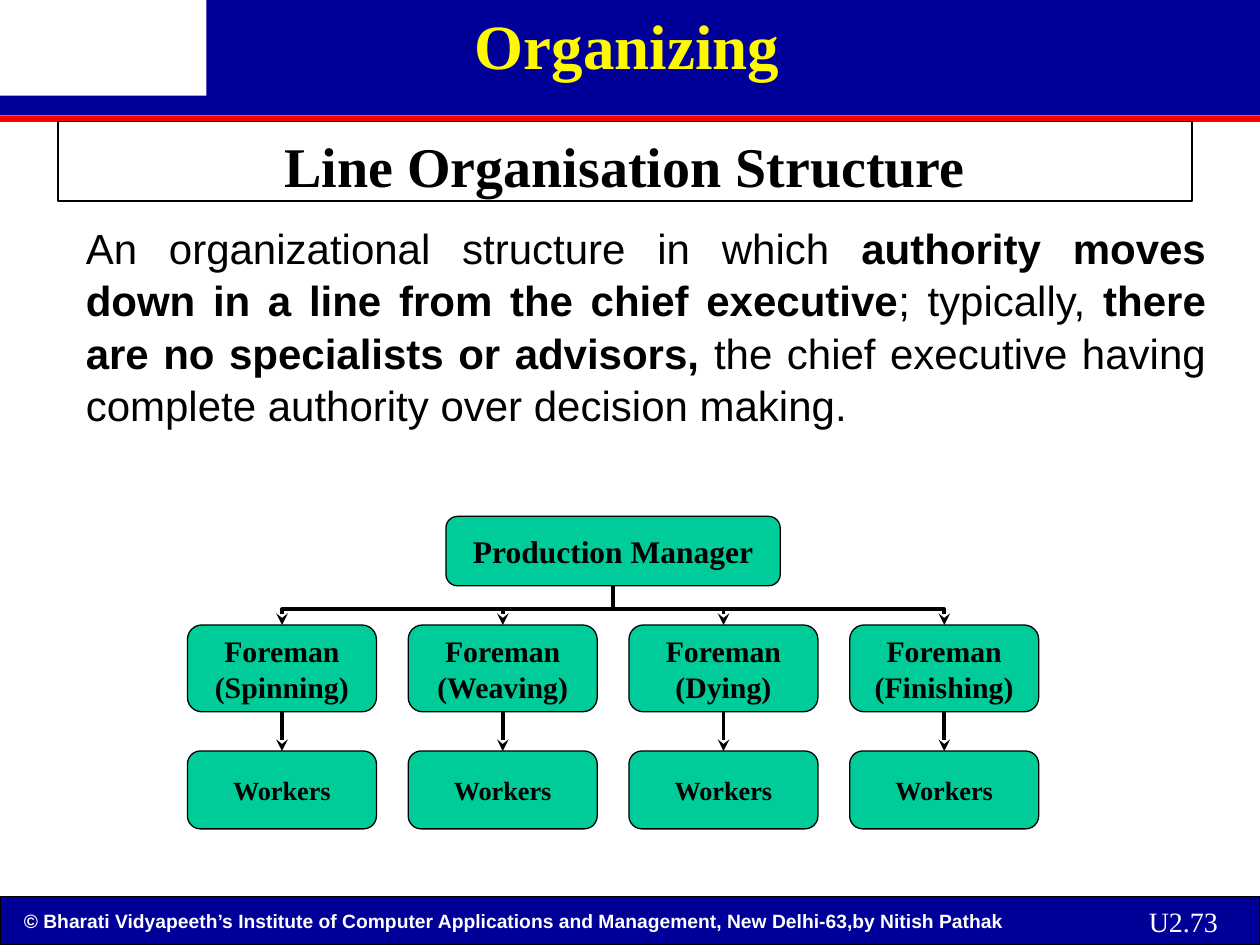
"""Build the slide on the line organisation structure with its organisation chart."""
from lxml import etree
from pptx import Presentation
from pptx import util as u
from pptx.dml.color import RGBColor
from pptx.enum import shapes, text
from pptx.oxml import ns

NAVY = RGBColor(0x00, 0x00, 0x99)
RED = RGBColor(0xFF, 0x00, 0x00)
YELLOW = RGBColor(0xFE, 0xF8, 0x00)
GREEN = RGBColor(0x00, 0xCC, 0x99)
WHITE = RGBColor(0xFF, 0xFF, 0xFF)
BLACK = RGBColor(0x00, 0x00, 0x00)
SERIF, SANS = "Times New Roman", "Arial"

TITLE = "Line Organisation Structure"
DEFINITION = [
    ("An organizational structure in which ", False),
    ("authority moves down in a line from the chief executive", True),
    ("; typically, ", False),
    ("there are no specialists or advisors, ", True),
    ("the chief executive having complete authority over decision making.", False),
]
MANAGER = "Production Manager"
DEPARTMENTS = ["Spinning", "Weaving", "Dying", "Finishing"]
WORKERS = "Workers"
FOOTER = ("© Bharati Vidyapeeth’s Institute of Computer Applications and Management, "
          "New Delhi-63,by Nitish Pathak")
BANDS = [
    ((0, 18.08, 25.4, 0.97), NAVY, BLACK),
    ((0, 2.33, 25.4, 0.13), RED, None),
    ((4.16, 0, 21.24, 1.94), NAVY, None),
    ((0, 1.93, 25.4, 0.4), NAVY, None),
]
LABELS = [
    (FOOTER, (0.23, 18.2, 23.32, 0.74), 11, SANS, WHITE, True, text.PP_ALIGN.LEFT),
    ("U2.73", (22.91, 18.11, 2.39, 0.94), 16, SERIF, WHITE, False, text.PP_ALIGN.LEFT),
    ("Organizing", (6.88, 0, 11.53, 1.78), 36, SERIF, YELLOW, True, text.PP_ALIGN.CENTER),
]
ROW_LEFT, COLUMN_PITCH, BOX_WIDTH = 3.78, 4.45, 3.81
MANAGER_TOP, MANAGER_WIDTH, MANAGER_HEIGHT = 10.41, 6.74, 1.4
FOREMAN_TOP, FOREMAN_HEIGHT = 12.6, 1.75
WORKERS_TOP, WORKERS_HEIGHT = 15.14, 1.57


def lengths(values):
    return [u.Cm(value) for value in values]


def style_paragraph(paragraph, size, name, color, bold, alignment):
    paragraph.alignment = alignment
    font = paragraph.font
    font.size, font.name, font.bold = u.Pt(size), name, bold
    font.color.rgb = color


def add_block(slide, kind, box, fill, line):
    shape = slide.shapes.add_shape(kind, *lengths(box))
    shape.shadow.inherit = False
    shape.fill.solid()
    shape.fill.fore_color.rgb = fill
    if line is None:
        shape.line.fill.background()
    else:
        shape.line.color.rgb = line
        shape.line.width = u.Pt(0.75)
    return shape


def add_label(slide, content, box, *style):
    frame = slide.shapes.add_textbox(*lengths(box)).text_frame
    frame.word_wrap = True
    frame.text = content
    style_paragraph(frame.paragraphs[0], *style)


def add_box(slide, content, box, size):
    shape = add_block(slide, shapes.MSO_SHAPE.ROUNDED_RECTANGLE, box, GREEN, BLACK)
    frame = shape.text_frame
    frame.word_wrap = False
    frame.vertical_anchor = text.MSO_ANCHOR.MIDDLE
    frame.margin_left = frame.margin_right = u.Cm(0.13)
    frame.margin_top = frame.margin_bottom = u.Cm(0.05)
    frame.text = content
    for paragraph in frame.paragraphs:
        style_paragraph(paragraph, size, SERIF, BLACK, True, text.PP_ALIGN.CENTER)


def add_arrow(slide, kind, ends):
    connector = slide.shapes.add_connector(kind, *lengths(ends))
    connector.line.color.rgb = BLACK
    connector.line.width = u.Pt(2.25)
    etree.SubElement(connector.line._get_or_add_ln(), ns.qn("a:tailEnd"), type="stealth")
    properties = connector.element.spPr
    etree.SubElement(properties, ns.qn("a:effectLst"))
    return properties


def add_branch(slide, start_x, start_y, end_x, end_y):
    """Draw an elbow that leaves downward: a level elbow turned by 90 degrees."""
    middle_x, middle_y = (start_x + end_x) / 2, (start_y + end_y) / 2
    half_drop, half_run = (end_y - start_y) / 2, (end_x - start_x) / 2
    properties = add_arrow(slide, shapes.MSO_CONNECTOR.ELBOW, (
        middle_x - half_drop, middle_y + half_run, middle_x + half_drop, middle_y - half_run))
    properties.find(ns.qn("a:xfrm")).set("rot", "5400000")
    adjustments = properties.find(ns.qn("a:prstGeom")).find(ns.qn("a:avLst"))
    etree.SubElement(adjustments, ns.qn("a:gd"), name="adj1", fmla="val 60000")


def add_title(slide):
    title = slide.shapes.title
    title.left, title.top, title.width, title.height = lengths((1.17, 2.45, 22.86, 1.6))
    title.fill.solid()
    title.fill.fore_color.rgb = WHITE
    title.line.color.rgb = BLACK
    title.line.width = u.Pt(0.75)
    frame = title.text_frame
    frame.text = TITLE
    frame.auto_size = text.MSO_AUTO_SIZE.NONE
    frame.vertical_anchor = text.MSO_ANCHOR.MIDDLE
    frame.margin_top, frame.margin_bottom = u.Cm(0.25), u.Cm(0.1)
    style_paragraph(frame.paragraphs[0], 32, SERIF, BLACK, True, text.PP_ALIGN.CENTER)
    slide.shapes.element.append(title.element)


def add_definition(slide):
    frame = slide.shapes.add_textbox(*lengths((0.53, 4.32, 24.03, 5))).text_frame
    frame.word_wrap = True
    frame.margin_left = u.Cm(1.2)
    paragraph = frame.paragraphs[0]
    paragraph.line_spacing = 1.04
    style_paragraph(paragraph, 24, SANS, BLACK, False, text.PP_ALIGN.JUSTIFY)
    for content, bold in DEFINITION:
        run = paragraph.add_run()
        run.text, run.font.bold = content, bold


def add_chart_of_roles(slide):
    lefts = [ROW_LEFT + COLUMN_PITCH * column for column in range(len(DEPARTMENTS))]
    centers = [left + BOX_WIDTH / 2 for left in lefts]
    manager_x = (centers[0] + centers[-1]) / 2
    for center in centers:
        add_arrow(slide, shapes.MSO_CONNECTOR.STRAIGHT,
                  (center, FOREMAN_TOP + FOREMAN_HEIGHT, center, WORKERS_TOP))
        add_branch(slide, manager_x, MANAGER_TOP + MANAGER_HEIGHT, center, FOREMAN_TOP)
    add_box(slide, MANAGER, (manager_x - MANAGER_WIDTH / 2, MANAGER_TOP,
                             MANAGER_WIDTH, MANAGER_HEIGHT), 18)
    for left, department in zip(lefts, DEPARTMENTS):
        add_box(slide, f"Foreman\n({department})",
                (left, FOREMAN_TOP, BOX_WIDTH, FOREMAN_HEIGHT), 17)
        add_box(slide, WORKERS, (left, WORKERS_TOP, BOX_WIDTH, WORKERS_HEIGHT), 15)


def main():
    presentation = Presentation()
    presentation.slide_width, presentation.slide_height = lengths((25.4, 19.05))
    slide = presentation.slides.add_slide(presentation.slide_layouts[5])
    for band in BANDS:
        add_block(slide, shapes.MSO_SHAPE.RECTANGLE, *band)
    add_title(slide)
    add_definition(slide)
    add_chart_of_roles(slide)
    for label in LABELS:
        add_label(slide, *label)
    presentation.save("out.pptx")


if __name__ == "__main__":
    main()
